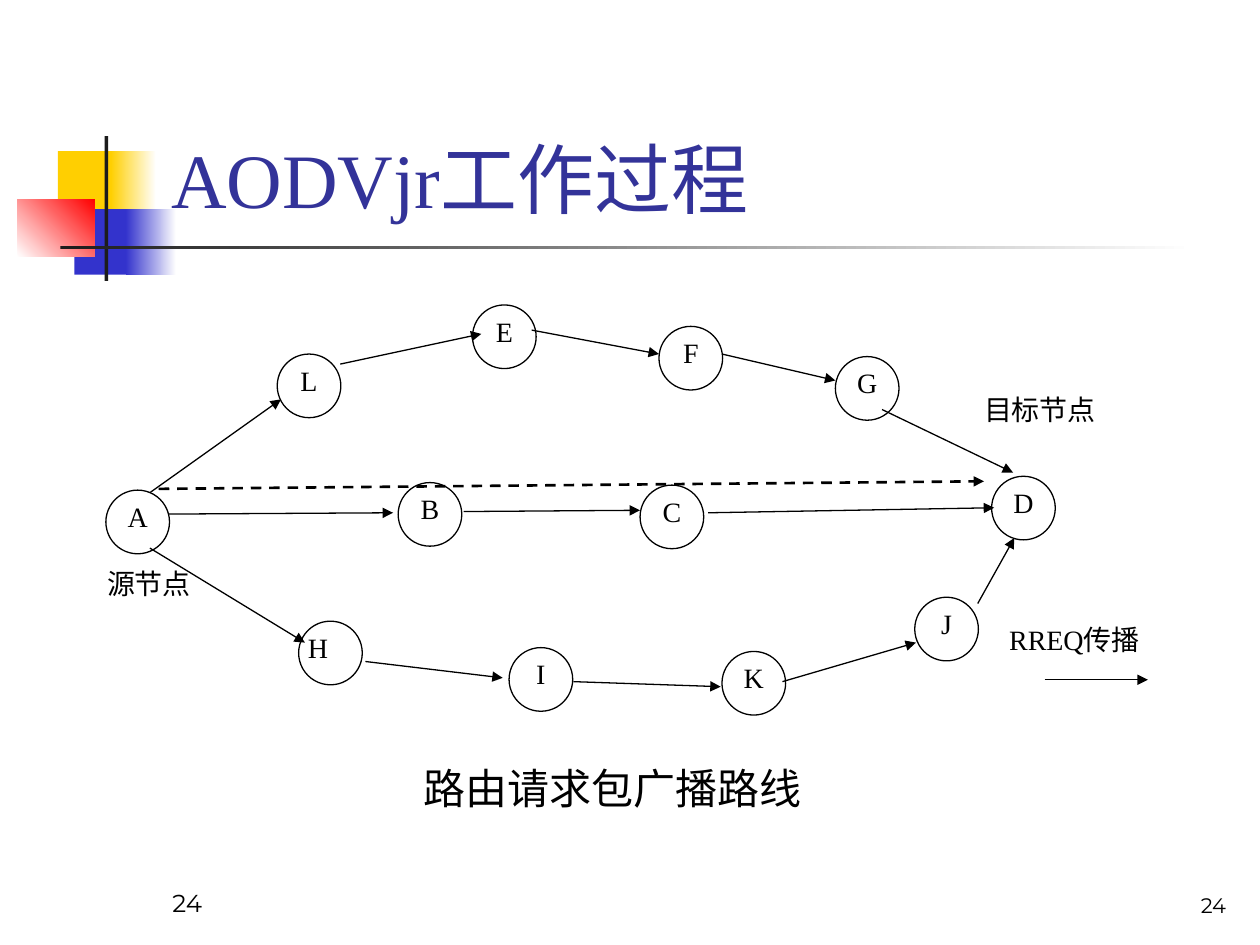
"""Build the AODVjr route request slide on a grid of 1000 columns by 750 rows."""
from lxml import etree
from pptx import Presentation, util as u
from pptx.dml.color import RGBColor
from pptx.enum import dml, shapes, text
from pptx.oxml import ns

COLS, ROWS = 1000, 750
HUE = {"gold": "FFCF01", "blue": "3333CC", "red": "FF0000", "dark": "1C1C1C",
       "white": "FFFFFF", "black": "000000", "title": "333399"}
SERIF, SANS = "Times New Roman", "Montserrat"
TOP, MID, LOW = text.MSO_ANCHOR.TOP, text.MSO_ANCHOR.MIDDLE, text.MSO_ANCHOR.BOTTOM
LEFT, CENTER, RIGHT, FULL = (text.PP_ALIGN.LEFT, text.PP_ALIGN.CENTER,
                             text.PP_ALIGN.RIGHT, text.PP_ALIGN.JUSTIFY)

BARS = [
    ((46, 120, 48, 52), ["gold"], 0),
    ((88, 120, 36, 52), ["gold", "white"], 0),
    ((59, 166, 46, 52), ["blue"], 0),
    ((100, 166, 40, 52), ["blue", "white"], 0),
    ((14, 158, 61, 46), ["white", "red"], 45),
    ((83, 108, 3, 115), ["dark"], 0),
    ((48, 195, 900, 3), ["dark", "white"], 0),
]
SIZE = 50.5
NODES = {
    "A": (84, 389), "L": (220, 281), "H": (237, 493), "B": (316, 383),
    "I": (404, 514), "C": (508, 385), "J": (726, 474), "E": (375, 242),
    "G": (663, 283), "D": (787, 378), "K": (573, 517), "F": (523, 259),
}
HOPS = [
    (119, 391, 223, 317), (270, 289, 382, 265), (422, 262, 523, 281),
    (573, 281, 663, 302), (700, 325, 804, 375),
    (134, 408, 312, 407), (368, 406, 508, 405), (562, 407, 789, 403),
    (119, 435, 242, 510), (290, 525, 399, 538), (455, 541, 572, 545),
    (621, 541, 727, 510), (776, 479, 805, 427),
    (829, 539.5, 911, 539.5),
]
REPLY = (126, 388, 781, 382)
NOTES = [
    ("24", (127, 683, 208, 50), 14, SANS, "black", LEFT, LOW, (10, 5)),
    ("24", (750, 683, 233, 50), 12, SANS, "black", RIGHT, LOW, (10, 5)),
    ("AODVjr工作过程", (126, 23, 852, 160), 44, SERIF, "title", LEFT, LOW, (10, 5)),
    ("源节点", (85, 450, 95, 40), 16, SERIF, "black", FULL, TOP, (0, 0)),
    ("目标节点", (781, 307, 109, 53), 16, SERIF, "black", FULL, TOP, (0, 5)),
    ("RREQ传播", (801, 494, 124, 40), 16, SERIF, "black", FULL, TOP, (0, 0)),
    ("路由请求包广播路线", (326, 600, 325, 50), 24, SERIF, "black", LEFT, MID, (10, 5)),
]

deck = Presentation()
deck.slide_width, deck.slide_height = u.Inches(10), u.Inches(7.5)
page = deck.slides.add_slide(deck.slide_layouts[6]).shapes


def rgb(name):
    return RGBColor.from_string(HUE[name])


def grid(spots):
    cells = deck.slide_width / COLS, deck.slide_height / ROWS
    return [round(spot * cells[i % 2]) for i, spot in enumerate(spots)]


def put(item, **values):
    for name, value in values.items():
        setattr(item, name, value)


def write(shape, words, size, face, hue, align, anchor, pad):
    frame = shape.text_frame
    side, edge = grid(pad)
    put(frame, word_wrap=True, vertical_anchor=anchor, margin_left=side,
        margin_right=side, margin_top=edge, margin_bottom=edge)
    line = frame.paragraphs[0]
    line.alignment = align
    run = line.add_run()
    run.text = words
    put(run.font, size=u.Pt(size), name=face)
    run.font.color.rgb = rgb(hue)


def draw(kind, box, hues, angle=0):
    shape = page.add_shape(kind, *grid(box))
    shape.shadow.inherit = False
    shape.line.fill.background()
    if len(hues) == 1:
        shape.fill.solid()
        shape.fill.fore_color.rgb = rgb(hues[0])
    else:
        shape.fill.gradient()
        shape.fill.gradient_angle = angle
        for stop, hue in zip(shape.fill.gradient_stops, hues):
            stop.color.rgb = rgb(hue)
    return shape


def link(ends, width=0.75, dash=None):
    wire = page.add_connector(shapes.MSO_CONNECTOR.STRAIGHT, *grid(ends))
    wire.line.color.rgb = rgb("black")
    put(wire.line, width=u.Pt(width), dash_style=dash)
    etree.SubElement(wire.line._get_or_add_ln(), ns.qn("a:tailEnd"), type="triangle")
    etree.SubElement(wire._element.spPr, ns.qn("a:effectLst"))


def main():
    for box, hues, angle in BARS:
        draw(shapes.MSO_SHAPE.RECTANGLE, box, hues, angle)
    for name, spot in NODES.items():
        node = draw(shapes.MSO_SHAPE.OVAL, (*spot, SIZE, SIZE), ["white"])
        node.line.color.rgb = rgb("black")
        node.line.width = u.Pt(0.75)
        align = FULL if name == "H" else CENTER
        write(node, name, 16, SERIF, "black", align, TOP, (0, 0))
    for ends in HOPS:
        link(ends)
    link(REPLY, 1.5, dml.MSO_LINE.DASH)
    for words, box, *style in NOTES:
        write(page.add_textbox(*grid(box)), words, *style)
    deck.save("out.pptx")


if __name__ == "__main__":
    main()
